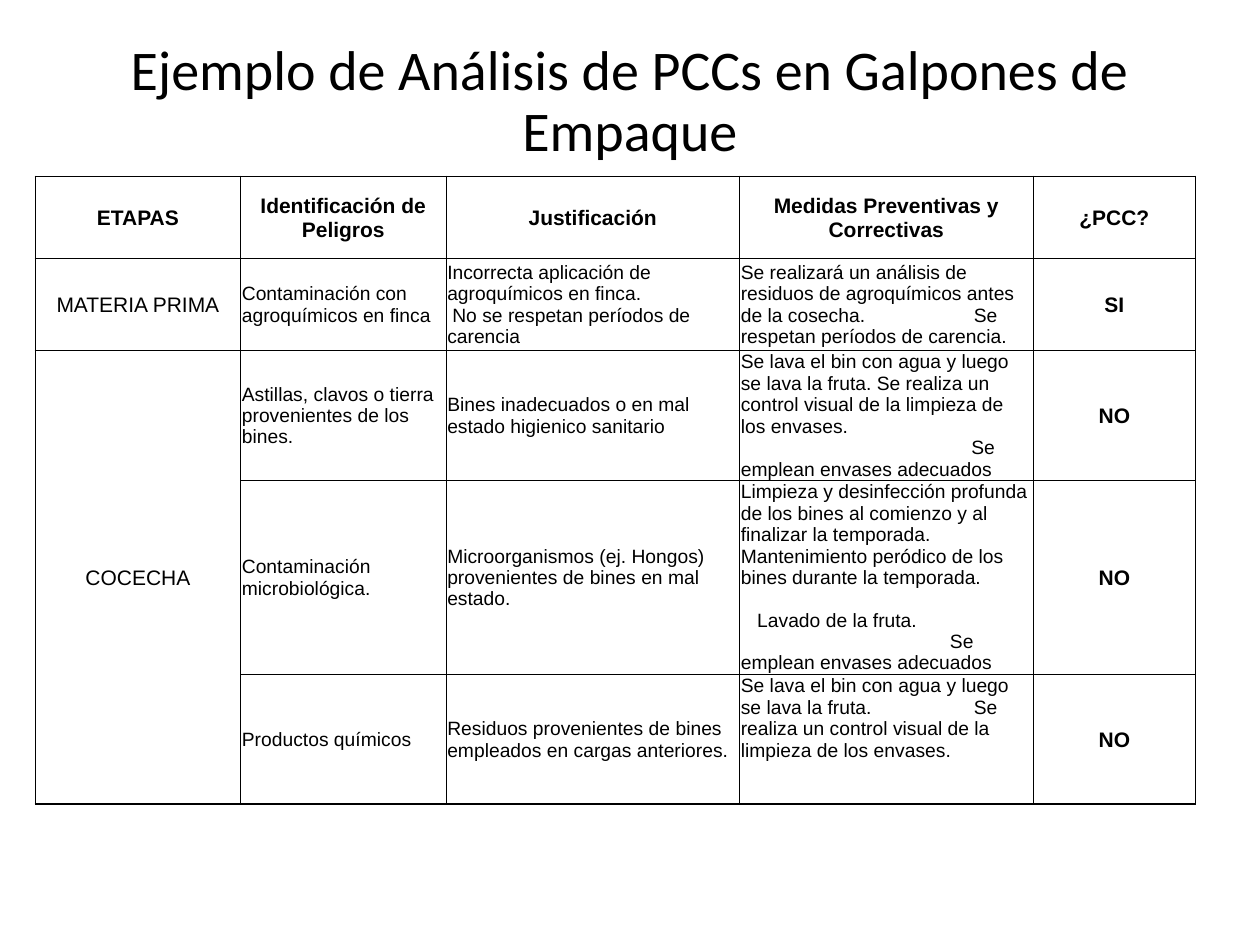
"""Build the slide on critical control point analysis in packing sheds."""
from lxml import etree
from pptx import Presentation
from pptx.dml.color import RGBColor
from pptx.enum.text import MSO_ANCHOR, PP_ALIGN
from pptx.oxml.ns import qn
from pptx.util import Inches, Pt

BLACK = RGBColor(0, 0, 0)
WHITE = RGBColor(255, 255, 255)
CENTER, LEFT = PP_ALIGN.CENTER, PP_ALIGN.LEFT
MIDDLE = MSO_ANCHOR.MIDDLE
THIN, THICK = Pt(0.5), Pt(1)
TITLE = "Ejemplo de Análisis de PCCs en Galpones de Empaque"
COLUMN_WIDTHS = [1.63, 1.63, 2.33, 2.33, 1.29]
ROW_HEIGHTS = [0.65, 0.73, 1.03, 1.54, 1.03]
TAB_STOP = 1.85
LAST_MEASURE_BOTTOM = 0.34

# Each paragraph holds text, first-line indent in inches and space before in points.
ROWS = [
    ["ETAPAS", "Identificación de Peligros", "Justificación",
     "Medidas Preventivas y Correctivas", "¿PCC?"],
    ["MATERIA PRIMA", "Contaminación con agroquímicos en finca",
     [("Incorrecta aplicación de agroquímicos en finca.", 0, 0),
      ("No se respetan períodos de carencia", 0.04, 0)],
     "Se realizará un análisis de residuos de agroquímicos antes de la cosecha."
     "\tSe respetan períodos de carencia.", "SI"],
    ["COCECHA", "Astillas, clavos o tierra provenientes de los bines.",
     "Bines inadecuados o en mal estado higienico sanitario",
     [("Se lava el bin con agua y luego se lava la fruta. Se realiza un control "
       "visual de la limpieza de los envases.", 0, 0),
      ("Se emplean envases adecuados", 1.83, 0)], "NO"],
    ["", "Contaminación microbiológica.",
     "Microorganismos (ej. Hongos) provenientes de bines en mal estado.",
     [("Limpieza y desinfección profunda de los bines al comienzo y al finalizar "
       "la temporada. Mantenimiento peródico de los bines durante la temporada.", 0, 0),
      ("Lavado de la fruta.", 0.13, 12),
      ("Se emplean envases adecuados", 1.66, 0)], "NO"],
    ["", "Productos químicos",
     "Residuos provenientes de bines empleados en cargas anteriores.",
     "Se lava el bin con agua y luego se lava la fruta."
     "\tSe realiza un control visual de la limpieza de los envases.", "NO"],
]


def add_border(cell, side, width):
    line = etree.SubElement(cell._tc.get_or_add_tcPr(), qn(f"a:ln{side}"), w=str(width))
    fill = etree.SubElement(line, qn("a:solidFill"))
    etree.SubElement(fill, qn("a:srgbClr"), val=str(BLACK))


def set_font(para, **values):
    for name, value in values.items():
        setattr(para.font, name, value)
    para.font.color.rgb = BLACK


deck = Presentation()
deck.slide_width, deck.slide_height = Inches(10), Inches(7.5)
page = deck.slides.add_slide(deck.slide_layouts[5])

title = page.shapes.title
placement = {"left": 0.69, "top": 0.4, "width": 8.62, "height": 0.83}
for name, value in placement.items():
    setattr(title, name, Inches(value))
title.text_frame.text = TITLE
title.text_frame.word_wrap = True
title.text_frame.vertical_anchor = MIDDLE
heading = title.text_frame.paragraphs[0]
heading.alignment = CENTER
heading.line_spacing = 0.9
set_font(heading, name="Calibri", size=Pt(32), bold=False)

frame = page.shapes.add_table(
    len(ROWS), len(COLUMN_WIDTHS), Inches(0.28), Inches(1.4),
    Inches(sum(COLUMN_WIDTHS)), Inches(sum(ROW_HEIGHTS)))
table = frame.table
table.first_row = table.horz_banding = False
for column, width in zip(table.columns, COLUMN_WIDTHS):
    column.width = Inches(width)
for row, height in zip(table.rows, ROW_HEIGHTS):
    row.height = Inches(height)
table.cell(2, 0).merge(table.cell(4, 0))

last_row, last_column = len(ROWS) - 1, len(COLUMN_WIDTHS) - 1
margins = {"margin_left": 0.01, "margin_right": 0.01, "margin_top": 0.01, "margin_bottom": 0}
for row_index, row in enumerate(ROWS):
    for column_index, content in enumerate(row):
        cell = table.cell(row_index, column_index)
        outer_sides = {
            "L": column_index == 0, "R": column_index == last_column,
            "T": row_index == 0,
            "B": row_index + cell.span_height - 1 >= last_row,
        }
        for side, outer in outer_sides.items():
            add_border(cell, side, THICK if outer else THIN)
        cell.fill.solid()
        cell.fill.fore_color.rgb = WHITE
        cell.vertical_anchor = MIDDLE
        for name, value in margins.items():
            setattr(cell, name, Inches(value))
        if cell.is_spanned:
            continue

        centered = row_index == 0 or column_index in (0, last_column)
        bold = row_index == 0 or column_index == last_column
        paragraphs = [(content, 0, 0)] if isinstance(content, str) else content
        for index, (text, indent, space_before) in enumerate(paragraphs):
            box = cell.text_frame
            para = box.paragraphs[0] if index == 0 else box.add_paragraph()
            para.text = text
            para.alignment = CENTER if centered else LEFT
            properties = para._p.get_or_add_pPr()
            if indent:
                properties.set("marL", "0")
                properties.set("indent", str(Inches(indent)))
            if space_before:
                para.space_before = Pt(space_before)
            if "\t" in text:
                tabs = etree.SubElement(properties, qn("a:tabLst"))
                etree.SubElement(tabs, qn("a:tab"), pos=str(Inches(TAB_STOP)), algn="l")
            set_font(para, name="Arial", size=Pt(12 if centered else 11), bold=bold)

table.cell(last_row, 3).margin_bottom = Inches(LAST_MEASURE_BOTTOM)

deck.save("out.pptx")
